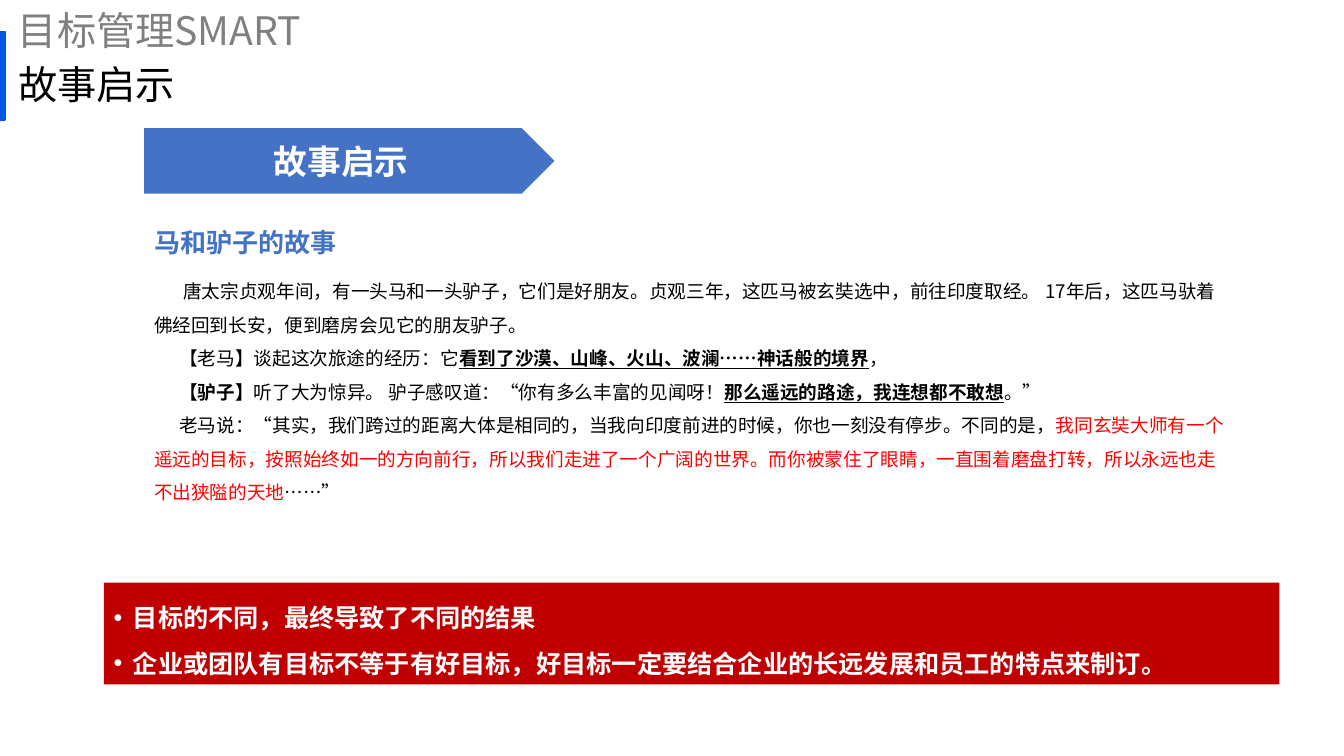
from dataclasses import dataclass

from lxml import etree
from pptx import Presentation
from pptx.dml.color import RGBColor
from pptx.enum.shapes import MSO_SHAPE
from pptx.enum.text import MSO_ANCHOR, MSO_AUTO_SIZE, PP_ALIGN
from pptx.oxml.ns import qn
from pptx.util import Inches, Pt


@dataclass(frozen=True)
class Theme:
    cjk: str = "Noto Sans CJK SC"
    latin: str = "Calibri"
    black: str = "000000"
    white: str = "FFFFFF"
    gray: str = "808080"
    accent: str = "0057E1"
    blue: str = "4472C4"
    crimson: str = "C00000"
    red: str = "FF0000"
    title: float = 28
    label: float = 24
    heading: float = 18.6
    takeaway: float = 18
    body: float = 13.3


class SlideBuilder:
    def __init__(self, prs, theme):
        self.theme = theme
        self.s = prs.slides.add_slide(prs.slide_layouts[5])

    def style(self, r, size, color, font, bold=False, underline=False):
        r.font.size = Pt(size)
        r.font.name = font
        r.font.bold = bold
        r.font.underline = underline
        r.font.color.rgb = RGBColor.from_string(color)
        if font == self.theme.cjk:
            ea = etree.SubElement(r.font._element, qn("a:ea"))
            ea.set("typeface", font)

    def frame(self, sp, anchor=MSO_ANCHOR.TOP, grow=False):
        tf = sp.text_frame
        tf.word_wrap = True
        tf.vertical_anchor = anchor
        tf.auto_size = MSO_AUTO_SIZE.SHAPE_TO_FIT_TEXT if grow else MSO_AUTO_SIZE.NONE
        return tf

    def line(self, tf, text, size, color, font, bold=False,
             align=PP_ALIGN.LEFT, spacing=1.0):
        tf.text = text
        for p in tf.paragraphs:
            p.alignment = align
            p.line_spacing = spacing
            for r in p.runs:
                self.style(r, size, color, font, bold)

    def header(self, text, top, color, is_title=False):
        box = [Inches(v) for v in (0.08, top, 11.5, 0.66)]
        if is_title:
            sp = self.s.shapes.title
            sp.left, sp.top, sp.width, sp.height = box
        else:
            sp = self.s.shapes.add_textbox(*box)
        self.line(self.frame(sp, MSO_ANCHOR.MIDDLE), text, self.theme.title,
                  color, self.theme.cjk, spacing=0.9)

    def shape(self, kind, x, y, w, h, fill, outlined=False):
        sp = self.s.shapes.add_shape(kind, Inches(x), Inches(y), Inches(w), Inches(h))
        sp.shadow.inherit = False
        sp.fill.solid()
        sp.fill.fore_color.rgb = RGBColor.from_string(fill)
        if outlined:
            sp.line.color.rgb = RGBColor.from_string(fill)
            sp.line.width = Pt(1)
        else:
            sp.line.fill.background()
        return sp

    def textbox(self, x, y, w, h):
        sp = self.s.shapes.add_textbox(Inches(x), Inches(y), Inches(w), Inches(h))
        return self.frame(sp, grow=True)

    def story(self, tf, paragraphs):
        t = self.theme
        for i, (indent, runs) in enumerate(paragraphs):
            p = tf.paragraphs[0] if i == 0 else tf.add_paragraph()
            p.line_spacing = 1.5
            p._p.get_or_add_pPr().set("indent", str(Inches(indent)))
            for text, look in runs:
                r = p.add_run()
                r.text = text
                self.style(r, t.body, t.red if look == "red" else t.black, t.cjk,
                           look in ("bold", "key"), look == "key")

    def bullets(self, tf, items):
        t = self.theme
        self.line(tf, "\n".join(items), t.takeaway, t.white, t.latin, True, spacing=1.5)
        for p in tf.paragraphs:
            pPr = p._p.get_or_add_pPr()
            pPr.set("marL", str(Inches(0.19)))
            pPr.set("indent", str(Inches(-0.19)))
            etree.SubElement(pPr, qn("a:buFont")).set("typeface", "Arial")
            etree.SubElement(pPr, qn("a:buChar")).set("char", "•")


STORY = [
    (0.29, [("唐太宗贞观年间，有一头马和一头驴子，它们是好朋友。贞观三年，这匹马被玄奘选中，前往印度取经。 "
             "17年后，这匹马驮着佛经回到长安，便到磨房会见它的朋友驴子。", "")]),
    (0.25, [("【老马】谈起这次旅途的经历：它", ""),
            ("看到了沙漠、山峰、火山、波澜……神话般的境界", "key"),
            ("，", "")]),
    (0.25, [("【驴子】", "bold"),
            ("听了大为惊异。 驴子感叹道：“你有多么丰富的见闻呀！", ""),
            ("那么遥远的路途，我连想都不敢想", "key"),
            ("。”", "")]),
    (0.25, [("老马说：“其实，我们跨过的距离大体是相同的，当我向印度前进的时候，你也一刻没有停步。不同的是，", ""),
            ("我同玄奘大师有一个遥远的目标，按照始终如一的方向前行，所以我们走进了一个广阔的世界。"
             "而你被蒙住了眼睛，一直围着磨盘打转，所以永远也走不出狭隘的天地", "red"),
            ("……”", "")]),
]
TAKEAWAYS = [
    "目标的不同，最终导致了不同的结果",
    "企业或团队有目标不等于有好目标，好目标一定要结合企业的长远发展和员工的特点来制订。",
]


def main():
    prs = Presentation()
    prs.slide_width, prs.slide_height = Inches(13.33), Inches(7.5)
    t = Theme()
    b = SlideBuilder(prs, t)

    # Header with accent bar
    b.shape(MSO_SHAPE.RECTANGLE, 0, 0.31, 0.05, 0.88, t.accent, outlined=True)
    b.header("目标管理SMART", 0, t.gray)
    b.header("故事启示", 0.53, t.black, is_title=True)

    # Section arrow
    arrow = b.shape(MSO_SHAPE.PENTAGON, 1.43, 1.27, 4.07, 0.65, t.blue)
    b.line(b.frame(arrow, MSO_ANCHOR.MIDDLE), "故事启示", t.label, t.white,
           t.latin, True, PP_ALIGN.CENTER)

    # Story
    b.line(b.textbox(1.43, 2.2, 2.44, 0.42), "马和驴子的故事", t.heading, t.blue,
           t.latin, True)
    b.story(b.textbox(1.43, 2.62, 10.85, 2.47), STORY)

    # Takeaway banner
    banner = b.shape(MSO_SHAPE.RECTANGLE, 1.03, 5.78, 11.66, 1.01, t.crimson)
    b.bullets(b.frame(banner, grow=True), TAKEAWAYS)

    prs.save("out.pptx")


if __name__ == "__main__":
    main()
